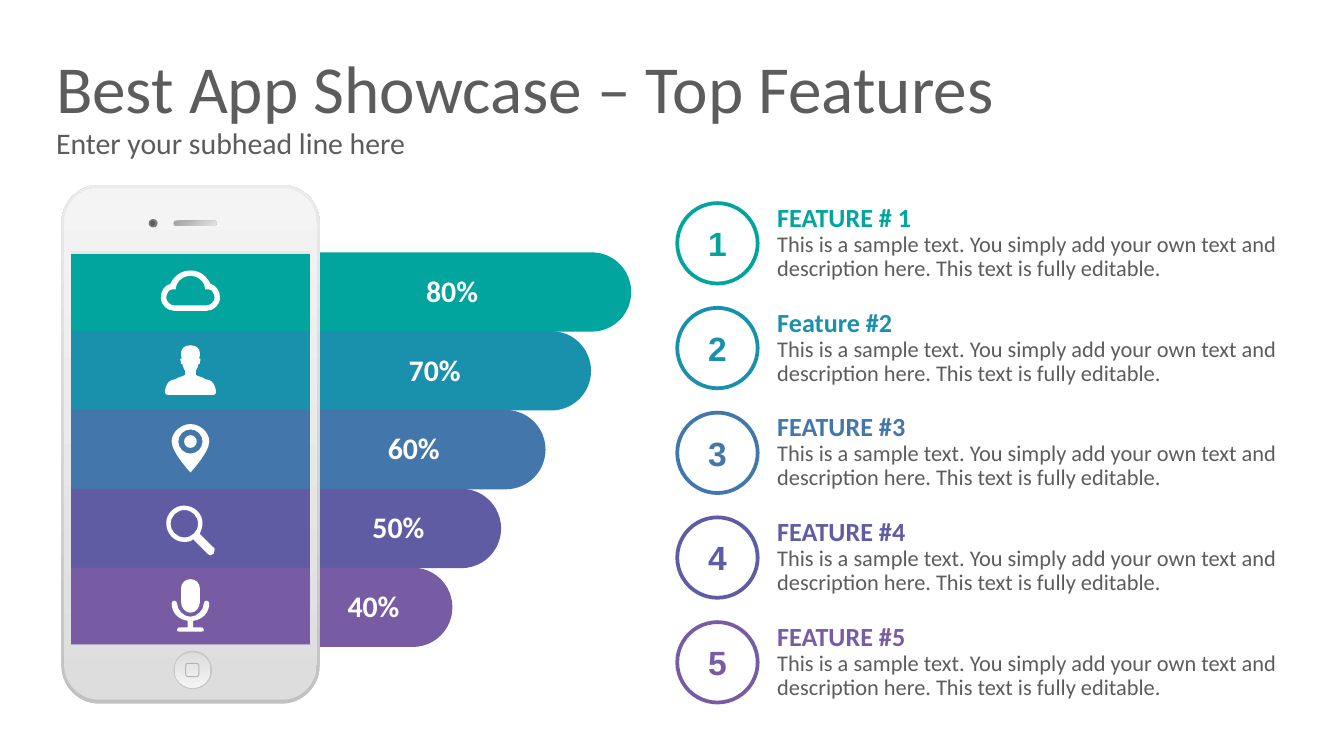
from pptx import Presentation
from pptx.dml.color import RGBColor
from pptx.enum.shapes import MSO_SHAPE
from pptx.enum.text import MSO_ANCHOR, PP_ALIGN
from pptx.oxml.ns import qn
from pptx.util import Cm, Pt

COLORS = {
    "teal": "01A59E", "cyan": "1991AC", "blue": "4376AB", "indigo": "5F5CA3",
    "purple": "785CA3", "text": "5C5C5C", "white": "FFFFFF",
    "rim dark": "C1C1C1", "rim light": "EBEBEB",
    "face dark": "DDDDDD", "face light": "F4F4F4",
    "speaker dark": "A0A0A0", "speaker light": "E3E3E3",
    "camera": "7C7979", "button ring": "C6C6C6", "button mark": "B3B3B3",
}
GRID = Cm(0.0254)  # drawing unit of the outlines
PHONE_X, PHONE_Y = 3.6, 8.4  # centre of the phone
BAR_LEFT, BAR_TOP, BAR_HEIGHT, BAR_STEP = 1.34, 4.77, 1.5, 1.49
FEATURE_TOP, FEATURE_STEP = 3.84, 1.98
SAMPLE = ("This is a sample text. You simply add your own text and "
          "description here. This text is fully editable.")

# colour, bar length, label, label left, label width, feature heading
FEATURES = [
    ("teal", 10.59, "80%", 6.5, 4.09, "FEATURE # 1"),
    ("cyan", 9.83, "70%", 6.17, 4.09, "Feature #2"),
    ("blue", 8.97, "60%", 6.17, 3.3, "FEATURE #3"),
    ("indigo", 8.13, "50%", 6.17, 2.72, "FEATURE #4"),
    ("purple", 7.21, "40%", 6.17, 1.78, "FEATURE #5"),
]


def color(name):
    return RGBColor.from_string(COLORS[name])


# Outlines, in grid units around a centre
def trace(*steps):
    """Split steps into points: one for a corner, three for a Bezier curve."""
    return [list(zip(step[::2], step[1::2])) for step in steps]


def mirror(*steps):
    """Closed outline from its right half, given from top to bottom."""
    right = trace(*steps)
    knot, left = right[0][0], []
    for points in right[1:]:
        left.insert(0, [(-x, y) for x, y in reversed([knot] + points[:-1])])
        knot = points[-1]
    across = [[(-knot[0], knot[1])]] if knot[0] else []
    return right + across + left


def ring(x, y, radius):
    bend = radius * 0.55
    circle = mirror((0, y - radius), (bend, y - radius, radius, y - bend, radius, y),
                    (radius, y + bend, bend, y + radius, 0, y + radius))
    return [[(px + x, py) for px, py in points] for points in circle]


def frame(half_width, top, bottom, radius):
    bend = radius * 0.45
    return mirror((half_width - radius, top),
                  (half_width - bend, top, half_width, top + bend, half_width, top + radius),
                  (half_width, bottom - radius),
                  (half_width, bottom - bend, half_width - bend, bottom,
                   half_width - radius, bottom))


def icon_outlines():
    cloud = [
        mirror((0, -16), (7, -16, 12, -12, 15, -6), (19, -5, 22, -1, 22, 4),
               (22, 10, 17, 14, 12, 14)),
        mirror((0, -12), (4, -12, 8, -10, 10, -6), (10, -5, 11, -4, 11, -2),
               (13, -2, 15, -2, 16, -1), (17, 1, 18, 2, 18, 4), (18, 7, 15, 10, 12, 10)),
    ]
    person = [
        mirror((0, -19), (5, -19, 7, -16, 7, -13), (7, -12, 7, -11, 6.5, -9),
               (8, -10, 7.5, -7, 7, -6), (7, -6, 7, -4, 6, -5), (5, -1, 4, 0, 4, 0),
               (4, 3), (4, 3, 5, 4, 9, 5), (12, 7, 11, 6, 14, 7),
               (19, 9, 19, 16, 19, 16), (19, 17, 18, 18, 17, 18)),
    ]
    pin = [
        mirror((0, -19), (7, -19, 14, -13, 14, -6), (14, 2, 0, 17, 0, 17)),
        ring(0, -6, 9), ring(0, -6, 4.7),
    ]
    magnifier = [
        trace((17, 14), (18, 14, 18, 15, 18, 16), (18, 18, 17, 20, 15, 20),
              (14, 20, 13, 19, 13, 19), (2, 8), (0, 10, -2, 10, -5, 10),
              (-12, 10, -18, 4, -18, -4), (-18, -11, -12, -17, -5, -17),
              (3, -17, 9, -11, 9, -4), (9, -1, 8, 1, 7, 4)),
        ring(-4.5, -3.5, 10.2),
    ]
    microphone = [
        mirror((0, -21), (4, -21, 7, -18, 7, -14), (7, -4), (7, 0, 4, 4, 0, 4)),
        mirror((0, 7), (5, 7, 10, 2, 10, -3), (10, -4, 11, -5, 12, -5),
               (13, -5, 14, -4, 14, -3), (14, 4, 9, 9, 2, 10), (2, 15), (8, 15),
               (9, 15, 10, 15, 10, 17), (10, 18, 9, 18, 8, 18)),
    ]
    return cloud, person, pin, magnifier, microphone


# Kinds of element
def paint(shape, fill=None, line=None, weight=1, angle=90):
    """Fill with a colour name, or with a pair of names for a gradient."""
    shape.shadow.inherit = False
    if fill is None:
        shape.fill.background()
    elif isinstance(fill, tuple):
        shape.fill.gradient()
        shape.fill.gradient_angle = angle
        for stop, name in zip(shape.fill.gradient_stops, fill):
            stop.color.rgb = color(name)
    else:
        shape.fill.solid()
        shape.fill.fore_color.rgb = color(fill)
    if line:
        shape.line.color.rgb = color(line)
        shape.line.width = Pt(weight)
    else:
        shape.line.fill.background()


def add_preset(page, kind, left, top, width, height, **style):
    shape = page.shapes.add_shape(kind, Cm(left), Cm(top), Cm(width), Cm(height))
    paint(shape, **style)
    return shape


def add_outline(page, x, y, contours, fill):
    builder = page.shapes.build_freeform(*(v * GRID for v in contours[0][0][0]))
    for number, (start, *steps) in enumerate(contours):
        if number:
            builder.move_to(*(v * GRID for v in start[0]))
        builder.add_line_segments([(px * GRID, py * GRID) for step in steps
                                   for px, py in step], close=True)
    shape = builder.convert_to_shape(Cm(x), Cm(y))
    paint(shape, fill)
    # Join the three points of each curve into one Bezier segment
    segments = iter(list(shape._element.iter(qn("a:lnTo"))))
    for step in (step for contour in contours for step in contour[1:]):
        first, *others = [next(segments) for _ in step]
        for other in others:
            first.tag = qn("a:cubicBezTo")
            first.append(other[0])
            other.getparent().remove(other)


def set_font(font, size, name, bold=False, face="Calibri"):
    font.name, font.size, font.bold = face, Pt(size), bold
    font.color.rgb = color(name)


def add_text(page, left, top, width, height, text, size, name,
             bold=False, align=PP_ALIGN.LEFT, anchor=MSO_ANCHOR.MIDDLE):
    box = page.shapes.add_textbox(Cm(left), Cm(top), Cm(width), Cm(height))
    body = box.text_frame
    body.word_wrap, body.vertical_anchor = True, anchor
    body.margin_left = body.margin_right = body.margin_top = body.margin_bottom = 0
    para = body.paragraphs[0]
    para.alignment = align
    para.add_run().text = text
    set_font(para.font, size, name, bold)
    return para


def row_middle(row):
    return BAR_TOP + row * BAR_STEP + BAR_HEIGHT / 2


def add_bar(page, row, name, length):
    bar = add_preset(page, MSO_SHAPE.ROUND_2_SAME_RECTANGLE,
                     BAR_LEFT + (length - BAR_HEIGHT) / 2, row_middle(row) - length / 2,
                     BAR_HEIGHT, length, fill=name)
    bar.adjustments[0], bar.adjustments[1] = 0.5, 0
    bar.rotation = 90


def add_phone(page):
    face = ("face dark", "face light")
    for outer, window, fill in (
            (frame(96, -193, 193, 28), mirror((89, -142), (89, 151)), ("rim dark", "rim light")),
            (frame(94, -191, 190, 26), mirror((89, -144), (89, 149)), face)):
        add_outline(page, PHONE_X, PHONE_Y, [outer, window], fill)
    # Camera and speaker
    add_preset(page, MSO_SHAPE.OVAL, 2.81, 4.14, 0.17, 0.16, fill="camera")
    add_preset(page, MSO_SHAPE.OVAL, 2.84, 4.17, 0.09, 0.1, fill="text")
    speaker = add_preset(page, MSO_SHAPE.ROUNDED_RECTANGLE, 3.28, 4.17, 0.81, 0.1,
                         fill=("speaker dark", "speaker light"), angle=315)
    speaker.adjustments[0] = 0.5
    # Home button
    add_preset(page, MSO_SHAPE.OVAL, 3.28, 12.3, 0.73, 0.73, fill="button ring")
    add_preset(page, MSO_SHAPE.OVAL, 3.3, 12.33, 0.68, 0.67, fill=face, angle=270)
    add_preset(page, MSO_SHAPE.ROUNDED_RECTANGLE, 3.51, 12.54, 0.25, 0.25,
               line="button mark", weight=0.5)


def add_feature(page, row, name, heading):
    top = FEATURE_TOP + row * FEATURE_STEP
    badge = add_preset(page, MSO_SHAPE.OVAL, 12.8, top, 1.52, 1.52, line=name, weight=2)
    badge.text_frame.vertical_anchor = MSO_ANCHOR.MIDDLE
    number = badge.text_frame.paragraphs[0]
    number.alignment = PP_ALIGN.CENTER
    number.add_run().text = str(row + 1)
    set_font(number.font, 18, name, True, "Arial")
    para = add_text(page, 14.69, top + 0.03, 9.63, 1.47, heading, 12, "text",
                    anchor=MSO_ANCHOR.TOP)
    para.line_spacing = 0.9
    set_font(para.runs[0].font, 14, name, True)
    para.add_line_break()
    para.add_run().text = SAMPLE


def main():
    deck = Presentation()
    deck.slide_width, deck.slide_height = Cm(25.4), Cm(14.29)
    page = deck.slides.add_slide(deck.slide_layouts[6])
    # Bars running out of the phone
    for row, (name, length, *_) in enumerate(FEATURES):
        add_bar(page, row, name, length)
    # Heading
    add_text(page, 1.06, 2.46, 23.24, 0.48, "Enter your subhead line here", 16, "text")
    add_text(page, 1.06, 0.95, 23.24, 1.37, "Best App Showcase – Top Features", 36, "text")
    add_phone(page)
    # Icons, percentages and feature list
    for row, icon in enumerate(icon_outlines()):
        add_outline(page, PHONE_X, row_middle(row), icon, "white")
    for row, (name, _, label, left, width, heading) in enumerate(FEATURES):
        para = add_text(page, left, row_middle(row) - 0.3, width, 0.62, label, 16, "white",
                        bold=True, align=PP_ALIGN.CENTER)
        para.line_spacing = 0.9
        add_feature(page, row, name, heading)
    deck.save("out.pptx")


if __name__ == "__main__":
    main()
